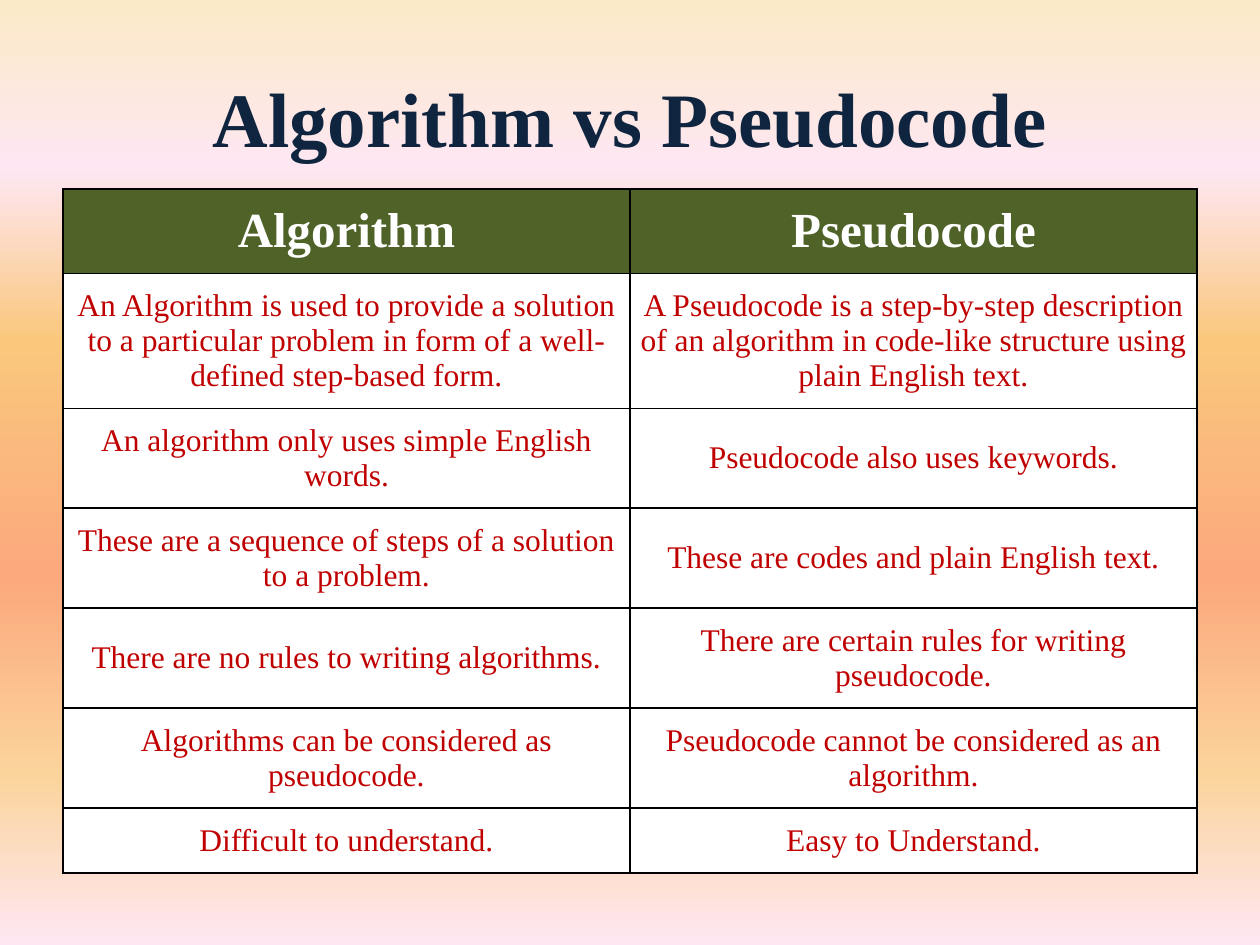
from lxml.etree import SubElement
from pptx import Presentation
from pptx.dml.color import RGBColor
from pptx.enum.text import MSO_ANCHOR as Anchor, PP_ALIGN as Align
from pptx.oxml.ns import qn
from pptx.util import Inches, Pt

FONT = "Times New Roman"
NAVY = RGBColor(0x0F, 0x24, 0x3E)
GREEN = RGBColor(0x4F, 0x62, 0x28)
RED = RGBColor(0xC0, 0x00, 0x00)
WHITE = RGBColor(0xFF, 0xFF, 0xFF)
BLACK = RGBColor(0x00, 0x00, 0x00)
PINK = RGBColor(0xFE, 0xE7, 0xF2)
SUNRISE = [
    (0, RGBColor(0xFB, 0xEA, 0xC7)),
    (18, PINK),
    (36, RGBColor(0xFA, 0xC7, 0x7D)),
    (61, RGBColor(0xFB, 0xA9, 0x7D)),
    (82, RGBColor(0xFB, 0xD4, 0x9C)),
    (100, PINK),
]

ROWS = [
    ("Algorithm", "Pseudocode"),
    ("An Algorithm is used to provide a solution to a particular problem "
     "in form of a well-defined step-based form.",
     "A Pseudocode is a step-by-step description of an algorithm "
     "in code-like structure using plain English text."),
    ("An algorithm only uses simple English words.",
     "Pseudocode also uses keywords."),
    ("These are a sequence of steps of a solution to a problem.",
     "These are codes and plain English text."),
    ("There are no rules to writing algorithms.",
     "There are certain rules for writing pseudocode."),
    ("Algorithms can be considered as pseudocode.",
     "Pseudocode cannot be considered as an algorithm."),
    ("Difficult to understand.", "Easy to Understand."),
]


def write_text(tf, text, *, size, color, bold=False):
    """Write one centred paragraph into a text frame."""
    tf.word_wrap = True
    p = tf.paragraphs[0]
    p.alignment = Align.CENTER
    r = p.add_run()
    r.text = text
    r.font.name = FONT
    r.font.size = Pt(size)
    r.font.bold = bold
    r.font.color.rgb = color


def set_background(s, stops):
    """Fill the slide background with a gradient from top to bottom."""
    fill = s.background.fill
    fill.gradient()
    fill.gradient_angle = 270
    gs_list = next(s.element.iter(qn("a:gsLst")))
    for gs in list(gs_list):
        gs_list.remove(gs)
    for percent, color in stops:
        gs = SubElement(gs_list, qn("a:gs"), pos=str(percent * 1000))
        SubElement(gs, qn("a:srgbClr"), val=str(color))


def add_title(s, text):
    """Place and fill the title placeholder."""
    sp = s.shapes.title
    sp.left, sp.top = Inches(0.5), Inches(0.3)
    sp.width, sp.height = Inches(9), Inches(1.25)
    sp.text_frame.vertical_anchor = Anchor.MIDDLE
    write_text(sp.text_frame, text, size=44, color=NAVY, bold=True)


def set_borders(cell, color, width):
    """Draw a solid line on all four sides of a cell."""
    tc_pr = cell._tc.get_or_add_tcPr()
    for side in ("lnL", "lnR", "lnT", "lnB"):
        ln = SubElement(tc_pr, qn(f"a:{side}"), w=str(Pt(width)))
        SubElement(SubElement(ln, qn("a:solidFill")), qn("a:srgbClr"), val=str(color))


def format_cell(cell, text, is_header):
    """Fill a cell with its text, margins, borders and colour."""
    cell.vertical_anchor = Anchor.MIDDLE
    cell.margin_left = cell.margin_right = Inches(0.08)
    cell.margin_top = cell.margin_bottom = Inches(0.12)
    set_borders(cell, BLACK, 1)
    cell.fill.solid()
    cell.fill.fore_color.rgb = GREEN if is_header else WHITE
    write_text(cell.text_frame, text, size=28 if is_header else 18,
               color=WHITE if is_header else RED, bold=is_header)


def add_comparison(s, rows):
    """Add the comparison table, whose rows grow to fit their text."""
    row_height = Inches(0.41)
    frame = s.shapes.add_table(len(rows), len(rows[0]), Inches(0.5), Inches(1.5),
                               Inches(9), row_height * len(rows))
    table = frame.table
    table.horz_banding = False
    for i, texts in enumerate(rows):
        table.rows[i].height = row_height
        for j, text in enumerate(texts):
            format_cell(table.cell(i, j), text, i == 0)


def main():
    """Build the slide and save it."""
    prs = Presentation()
    prs.slide_width, prs.slide_height = Inches(10), Inches(7.5)
    s = prs.slides.add_slide(prs.slide_layouts[5])
    set_background(s, SUNRISE)
    add_title(s, "Algorithm vs Pseudocode")
    add_comparison(s, ROWS)
    prs.save("out.pptx")


if __name__ == "__main__":
    main()
